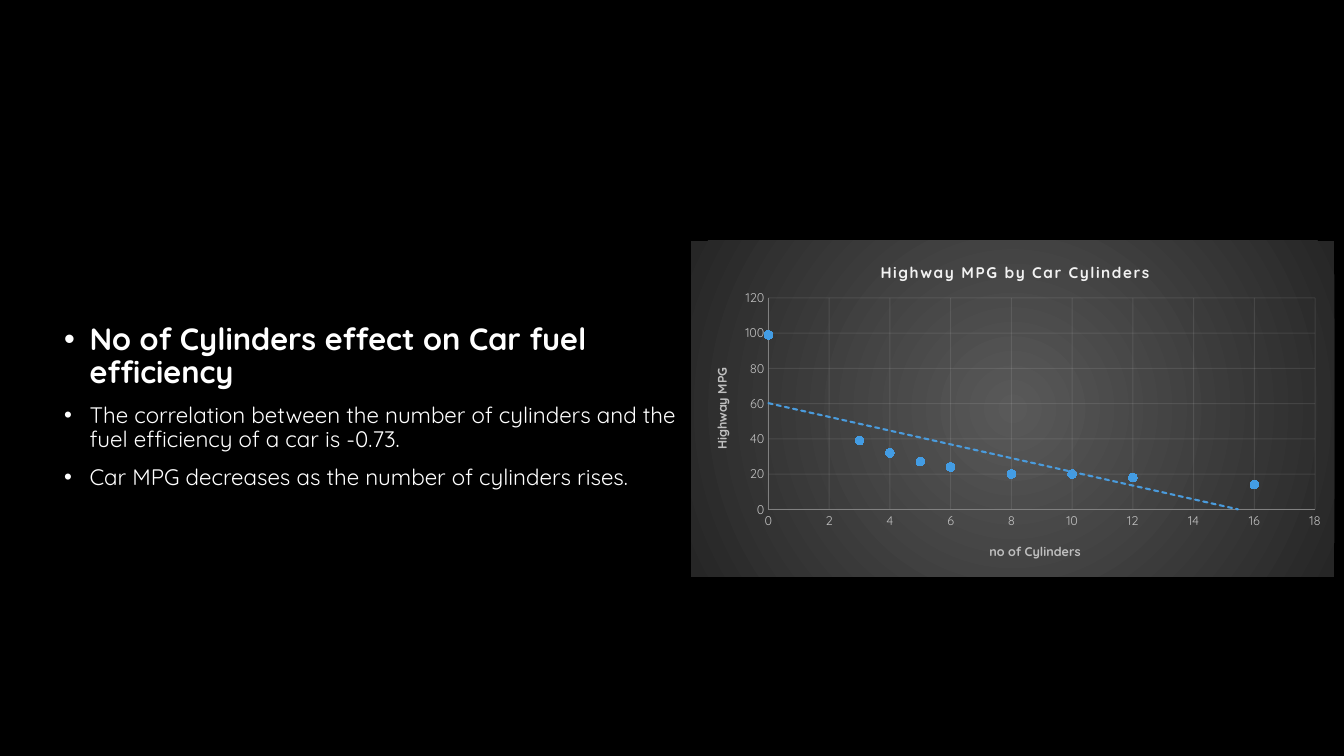
from lxml import etree
from pptx import Presentation
from pptx import util as u
from pptx.chart.data import XyChartData
from pptx.dml.color import RGBColor
from pptx.enum import chart as ch
from pptx.enum import dml
from pptx.oxml import parse_xml
from pptx.oxml.ns import nsdecls, qn

BLACK = RGBColor(0x00, 0x00, 0x00)
WHITE = RGBColor(0xFF, 0xFF, 0xFF)
LABEL = RGBColor(0xBF, 0xBF, 0xBF)
AXIS = RGBColor(0x80, 0x80, 0x80)
GRID = RGBColor(0xF2, 0xF2, 0xF2)
MARKER = RGBColor(0x43, 0x9C, 0xE3)
TREND = RGBColor(0x4A, 0x9B, 0xDC)
PANEL_CENTRE = RGBColor(0x59, 0x59, 0x59)
PANEL_EDGE = RGBColor(0x26, 0x26, 0x26)
FONT = "Quicksand"

FINDINGS = [
    ("No of Cylinders effect on Car fuel efficiency", 22, True),
    ("The correlation between the number of cylinders and the fuel efficiency "
     "of a car is -0.73.", 16, False),
    ("Car MPG decreases as the number of cylinders rises.", 16, False),
]
MPG_BY_CYLINDERS = [(0, 99), (3, 39), (4, 32), (5, 27), (6, 24),
                    (8, 20), (10, 20), (12, 18), (16, 14)]


def set_font(font, size, color, bold=False):
    font.name = FONT
    font.size = u.Pt(size)
    font.bold = bold
    font.color.rgb = color


def add_bullet(p):
    pPr = p._p.get_or_add_pPr()
    pPr.set("marL", str(u.Cm(0.64)))
    pPr.set("indent", str(-u.Cm(0.64)))
    etree.SubElement(pPr, qn("a:buFont")).set("typeface", "Arial")
    etree.SubElement(pPr, qn("a:buChar")).set("char", "•")


def add_findings(slide, left, top, width, height):
    tf = slide.shapes.add_textbox(left, top, width, height).text_frame
    tf.word_wrap = True
    for i, (wording, size, bold) in enumerate(FINDINGS):
        p = tf.add_paragraph() if i else tf.paragraphs[0]
        p.text = wording
        p.line_spacing = 0.9
        p.space_before = u.Pt(10)
        add_bullet(p)
        set_font(p.runs[0].font, size, WHITE, bold)


def place(parent, index, **fractions):
    """Fix a chart part at fractions of the chart area."""
    old = parent.find(qn("c:layout"))
    if old is not None:
        parent.remove(old)
    layout = etree.Element(qn("c:layout"))
    manual = etree.SubElement(layout, qn("c:manualLayout"))
    if "w" in fractions:
        etree.SubElement(manual, qn("c:layoutTarget")).set("val", "inner")
    for key in ("x", "y"):
        etree.SubElement(manual, qn(f"c:{key}Mode")).set("val", "edge")
    for key, value in fractions.items():
        etree.SubElement(manual, qn(f"c:{key}")).set("val", str(value))
    parent.insert(index, layout)


def set_title(title, wording, size, color, x, y):
    p = title.text_frame.paragraphs[0]
    p.text = wording
    set_font(p.runs[0].font, size, color, True)
    place(title._element, 1, x=x, y=y)
    return p.runs[0]


def style_axis(axis, maximum, step, wording, x, y):
    axis.minimum_scale, axis.maximum_scale = 0, maximum
    axis.major_unit = step
    axis.major_tick_mark = axis.minor_tick_mark = ch.XL_TICK_MARK.NONE
    set_font(axis.tick_labels.font, 9, LABEL)
    axis.format.line.color.rgb = AXIS
    axis.format.line.width = u.Pt(0.75)
    axis.has_major_gridlines = True
    grid = axis.major_gridlines.format.line
    grid.color.rgb = GRID
    grid.width = u.Pt(0.75)
    color = grid._ln.find(".//" + qn("a:srgbClr"))
    etree.SubElement(color, qn("a:alpha")).set("val", "10000")
    set_title(axis.axis_title, wording, 9, LABEL, x, y)


def style_series(series):
    marker = series.marker
    marker.style = ch.XL_MARKER_STYLE.CIRCLE
    marker.size = 6
    marker.format.fill.solid()
    marker.format.fill.fore_color.rgb = MARKER
    marker.format.line.fill.background()
    series.format.line.fill.background()
    trend = parse_xml(
        f'<c:trendline {nsdecls("c", "a")}><c:spPr><a:ln w="{u.Pt(1.5)}" cap="rnd">'
        f'<a:solidFill><a:srgbClr val="{TREND}"/></a:solidFill>'
        '<a:prstDash val="sysDash"/></a:ln></c:spPr>'
        '<c:trendlineType val="linear"/><c:dispRSqr val="0"/>'
        '<c:dispEq val="0"/></c:trendline>')
    series._element.find(qn("c:xVal")).addprevious(trend)


def fill_panel(chart):
    """Give the chart area a round gradient without an outline."""
    panel = parse_xml(
        f'<c:spPr {nsdecls("c", "a")}><a:gradFill><a:gsLst>'
        f'<a:gs pos="0"><a:srgbClr val="{PANEL_CENTRE}"/></a:gs>'
        f'<a:gs pos="100000"><a:srgbClr val="{PANEL_EDGE}"/></a:gs></a:gsLst>'
        '<a:path path="circle"><a:fillToRect l="50000" t="50000" r="50000" '
        'b="50000"/></a:path></a:gradFill><a:ln><a:noFill/></a:ln></c:spPr>')
    chart._chartSpace.find(qn("c:chart")).addnext(panel)


def add_mpg_chart(slide, left, top, width, height):
    data = XyChartData()
    points = data.add_series("Series 1")
    for cylinders, mpg in MPG_BY_CYLINDERS:
        points.add_data_point(cylinders, mpg)
    chart = slide.shapes.add_chart(ch.XL_CHART_TYPE.XY_SCATTER, left, top,
                                   width, height, data).chart
    set_font(chart.font, 10, WHITE)
    chart.has_legend = False
    plot = chart.plots[0]
    plot.vary_by_categories = False
    style_series(plot.series[0])
    style_axis(chart.category_axis, 18, 2, "no of Cylinders", 0.46, 0.89)
    style_axis(chart.value_axis, 120, 20, "Highway MPG", 0.03, 0.37)
    r = set_title(chart.chart_title, "Highway MPG by Car Cylinders", 11, GRID,
                  0.29, 0.05)
    r.font._element.set("spc", "100")
    place(chart._chartSpace.find(".//" + qn("c:plotArea")), 0,
          x=0.12, y=0.17, w=0.85, h=0.63)
    fill_panel(chart)


def main():
    prs = Presentation()
    prs.slide_width, prs.slide_height = u.Cm(33.87), u.Cm(19.05)
    slide = prs.slides.add_slide(prs.slide_layouts[6])
    slide.background.fill.solid()
    slide.background.fill.fore_color.rgb = BLACK
    add_findings(slide, u.Cm(1.37), u.Cm(8.03), u.Cm(16.51), u.Cm(6.5))
    add_mpg_chart(slide, u.Cm(17.42), u.Cm(6.07), u.Cm(16.21), u.Cm(8.46))
    prs.save("out.pptx")


if __name__ == "__main__":
    main()
